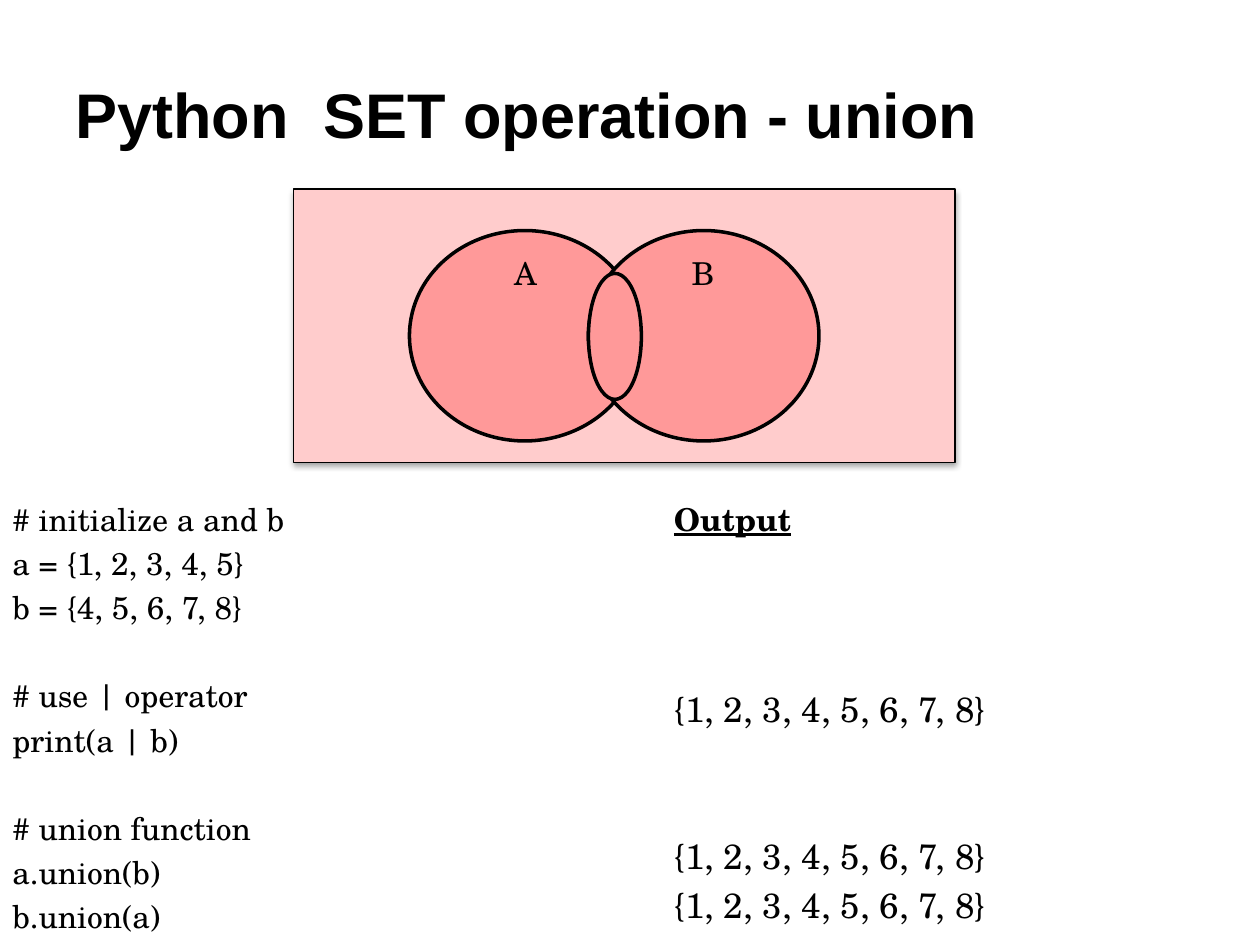
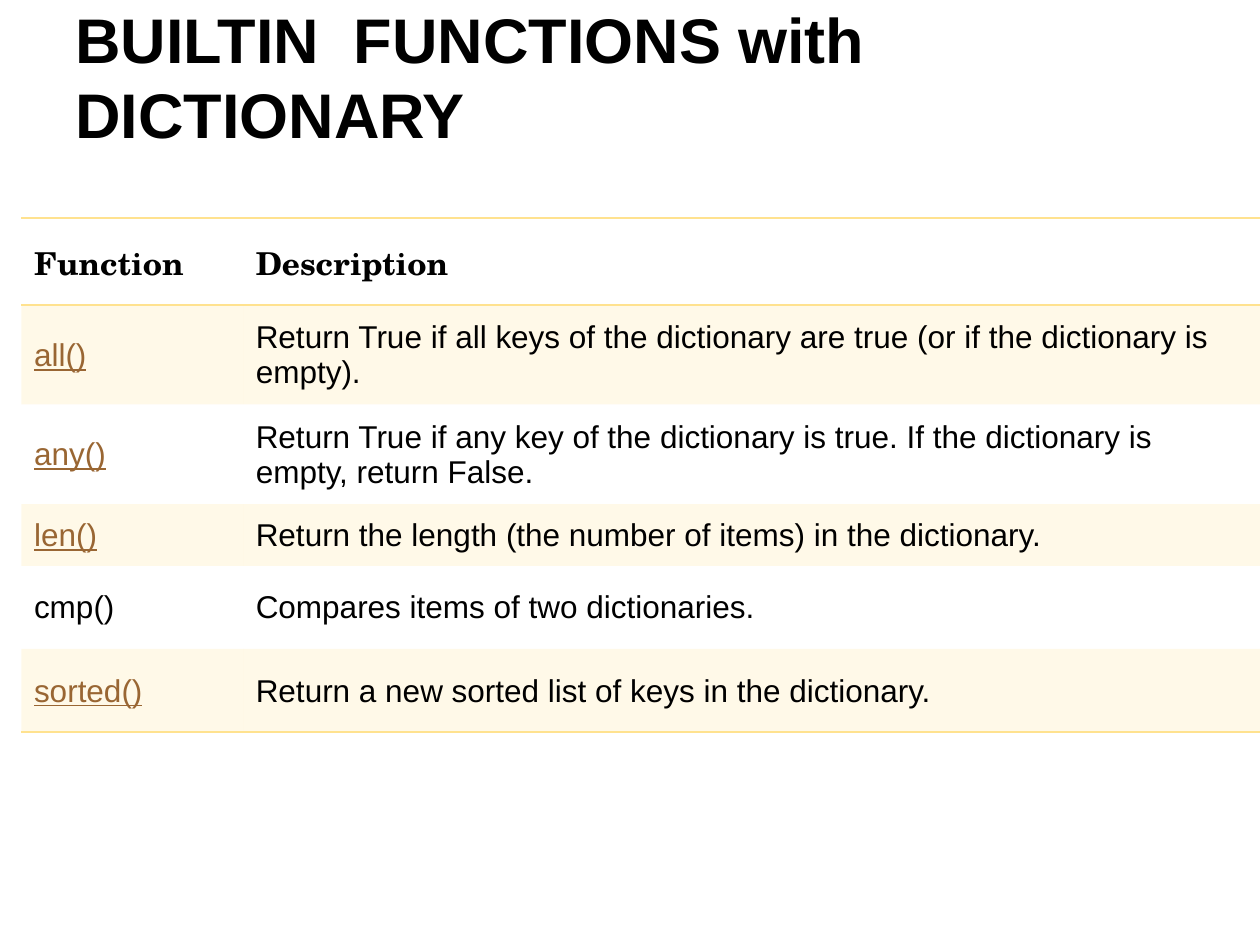
from lxml import etree
from pptx import Presentation
from pptx.dml.color import RGBColor
from pptx.enum.shapes import MSO_SHAPE
from pptx.enum.text import MSO_ANCHOR, PP_ALIGN
from pptx.oxml.ns import qn
from pptx.util import Inches, Pt

RECTANGLE = MSO_SHAPE.RECTANGLE
CIRCLE = MSO_SHAPE.FLOWCHART_CONNECTOR
OVAL = MSO_SHAPE.OVAL
TOP, MIDDLE, BOTTOM = MSO_ANCHOR.TOP, MSO_ANCHOR.MIDDLE, MSO_ANCHOR.BOTTOM
LEFT, CENTER = PP_ALIGN.LEFT, PP_ALIGN.CENTER

BLACK = RGBColor(0x00, 0x00, 0x00)
UNIVERSE_PINK = RGBColor(0xFF, 0xCC, 0xCC)
SET_PINK = RGBColor(0xFF, 0x99, 0x99)
LINK_BROWN = RGBColor(0x99, 0x66, 0x33)
TABLE_YELLOW = RGBColor(0xFF, 0xE2, 0x8F)

SANS = "Arial"
SERIF = "TeX Gyre Schola"
NO_TABLE_STYLE = "{2D5ABB26-0587-4C30-8999-92F81FD0307C}"

CODE_LINES = [
    ("# initialize a and b", 3.6),
    ("a = {1, 2, 3, 4, 5}", 3.6),
    ("b = {4, 5, 6, 7, 8}", 3.6),
    ("# use | operator", 28.8),
    ("print(a | b)", 3.6),
    ("# union function", 28.8),
    ("a.union(b)", 3.6),
    ("b.union(a)", 3.6),
]
UNION_RESULT = "{1, 2, 3, 4, 5, 6, 7, 8}"
RESULT_SPACES = [85.2, 60, 4]

FUNCTIONS = [
    ("all()", "Return True if all keys of the dictionary are true (or if the dictionary is empty)."),
    ("any()", "Return True if any key of the dictionary is true. If the dictionary is empty, return False."),
    ("len()", "Return the length (the number of items) in the dictionary."),
    ("cmp()", "Compares items of two dictionaries."),
    ("sorted()", "Return a new sorted list of keys in the dictionary."),
]
UNLINKED_FUNCTION = "cmp()"
COLUMN_WIDTHS = [1.76, 8.08]
ROW_HEIGHTS = [0.69, 0.76, 0.76, 0.48, 0.66, 0.66]


def style_paragraph(paragraph, size, name, color=BLACK, bold=False, underline=False):
    font = paragraph.font
    font.size = Pt(size)
    font.name = name
    font.color.rgb = color
    font.bold = bold
    font.underline = underline


def add_text_frame(slide, left, top, width, height, anchor=TOP):
    box = slide.shapes.add_textbox(Inches(left), Inches(top), Inches(width), Inches(height))
    frame = box.text_frame
    frame.word_wrap = True
    frame.vertical_anchor = anchor
    return frame


def write_line(frame, index, text, size, space_before=0, alignment=LEFT, name=SERIF, **style):
    paragraph = frame.add_paragraph() if index else frame.paragraphs[0]
    paragraph.text = text
    paragraph.alignment = alignment
    paragraph.space_before = Pt(space_before)
    style_paragraph(paragraph, size, name, **style)


def add_title(slide, text):
    frame = add_text_frame(slide, 0.5, 0.08, 7.42, 1.17, BOTTOM)
    write_line(frame, 0, text, 36, name=SANS, bold=True)


def add_outlined_shape(slide, kind, left, top, width, height, fill, line_width):
    shape = slide.shapes.add_shape(kind, Inches(left), Inches(top), Inches(width), Inches(height))
    shape.shadow.inherit = False
    shape.fill.solid()
    shape.fill.fore_color.rgb = fill
    shape.line.color.rgb = BLACK
    shape.line.width = Pt(line_width)
    return shape


def add_drop_shadow(shape):
    effects = shape.element.spPr.find(qn("a:effectLst"))
    shadow = etree.SubElement(
        effects, qn("a:outerShdw"), blurRad=str(Pt(3.1)), dist=str(Pt(1.8)), dir="5400000", rotWithShape="0"
    )
    color = etree.SubElement(shadow, qn("a:srgbClr"), val=str(BLACK))
    etree.SubElement(color, qn("a:alpha"), val="35000")


def add_venn_diagram(slide):
    universe = add_outlined_shape(slide, RECTANGLE, 2.33, 1.5, 5.25, 2.17, UNIVERSE_PINK, 0.75)
    add_drop_shadow(universe)
    for left in (3.25, 4.67):
        add_outlined_shape(slide, CIRCLE, left, 1.83, 1.83, 1.67, SET_PINK, 2)
    for label, left in (("A", 3.92), ("B", 5.33)):
        frame = add_text_frame(slide, left, 2, 0.5, 0.33, MIDDLE)
        write_line(frame, 0, label, 18, alignment=CENTER)
    add_outlined_shape(slide, OVAL, 4.67, 2.17, 0.42, 1, SET_PINK, 2)


def add_cell_border(cell, side):
    properties = cell._tc.get_or_add_tcPr()
    line = etree.SubElement(properties, qn(f"a:ln{side}"), w=str(Pt(1)))
    fill = etree.SubElement(line, qn("a:solidFill"))
    etree.SubElement(fill, qn("a:srgbClr"), val=str(TABLE_YELLOW))


def fill_cell(cell, shaded):
    if not shaded:
        cell.fill.background()
        return
    cell.fill.solid()
    cell.fill.fore_color.rgb = TABLE_YELLOW
    color = cell._tc.tcPr.find(qn("a:solidFill")).find(qn("a:srgbClr"))
    etree.SubElement(color, qn("a:alpha"), val="20000")


def write_cell(cell, text, margin_top, margin_bottom, borders, shaded, **style):
    cell.vertical_anchor = MIDDLE
    cell.margin_left, cell.margin_right = Inches(0.1), Inches(0.08)
    cell.margin_top, cell.margin_bottom = Inches(margin_top), Inches(margin_bottom)
    for side in borders:
        add_cell_border(cell, side)
    fill_cell(cell, shaded)
    cell.text = text
    style_paragraph(cell.text_frame.paragraphs[0], 18, **style)


def add_function_table(slide):
    frame = slide.shapes.add_table(
        len(ROW_HEIGHTS), len(COLUMN_WIDTHS), Inches(0.17), Inches(1.73),
        Inches(sum(COLUMN_WIDTHS)), Inches(sum(ROW_HEIGHTS)),
    )
    table = frame.table
    table.first_row = table.horz_banding = False
    table._tbl.tblPr.find(qn("a:tableStyleId")).text = NO_TABLE_STYLE
    for column, width in zip(table.columns, COLUMN_WIDTHS):
        column.width = Inches(width)
    for row, height in zip(table.rows, ROW_HEIGHTS):
        row.height = Inches(height)
    for column, heading in enumerate(("Function", "Description")):
        write_cell(table.cell(0, column), heading, 0.16, 0.15, "TB", False, name=SERIF, bold=True)
    for row, texts in enumerate(FUNCTIONS, 1):
        borders = "B" if row == len(FUNCTIONS) else ""
        for column, text in enumerate(texts):
            linked = column == 0 and text != UNLINKED_FUNCTION
            write_cell(
                table.cell(row, column), text, 0.1, 0.09, borders, row % 2 == 1,
                name=SANS, color=LINK_BROWN if linked else BLACK, underline=linked,
            )


def build_union_slide(slide):
    add_title(slide, "Python  SET operation - union")
    code = add_text_frame(slide, 0, 3.92, 5.33, 3.83)
    for index, (text, space_before) in enumerate(CODE_LINES):
        write_line(code, index, text, 18, space_before)
    output = add_text_frame(slide, 5.25, 3.92, 4.75, 3.75)
    write_line(output, 0, "Output", 18, 3.6, bold=True, underline=True)
    for index, space_before in enumerate(RESULT_SPACES, 1):
        write_line(output, index, UNION_RESULT, 20, space_before)
    add_venn_diagram(slide)


def build_dictionary_slide(slide):
    add_title(slide, "BUILTIN  FUNCTIONS with DICTIONARY")
    add_function_table(slide)


def main():
    presentation = Presentation()
    presentation.slide_width = Inches(10)
    presentation.slide_height = Inches(7.5)
    blank_layout = presentation.slide_layouts[6]
    for build_slide in (build_union_slide, build_dictionary_slide):
        build_slide(presentation.slides.add_slide(blank_layout))
    presentation.save("out.pptx")


if __name__ == "__main__":
    main()
